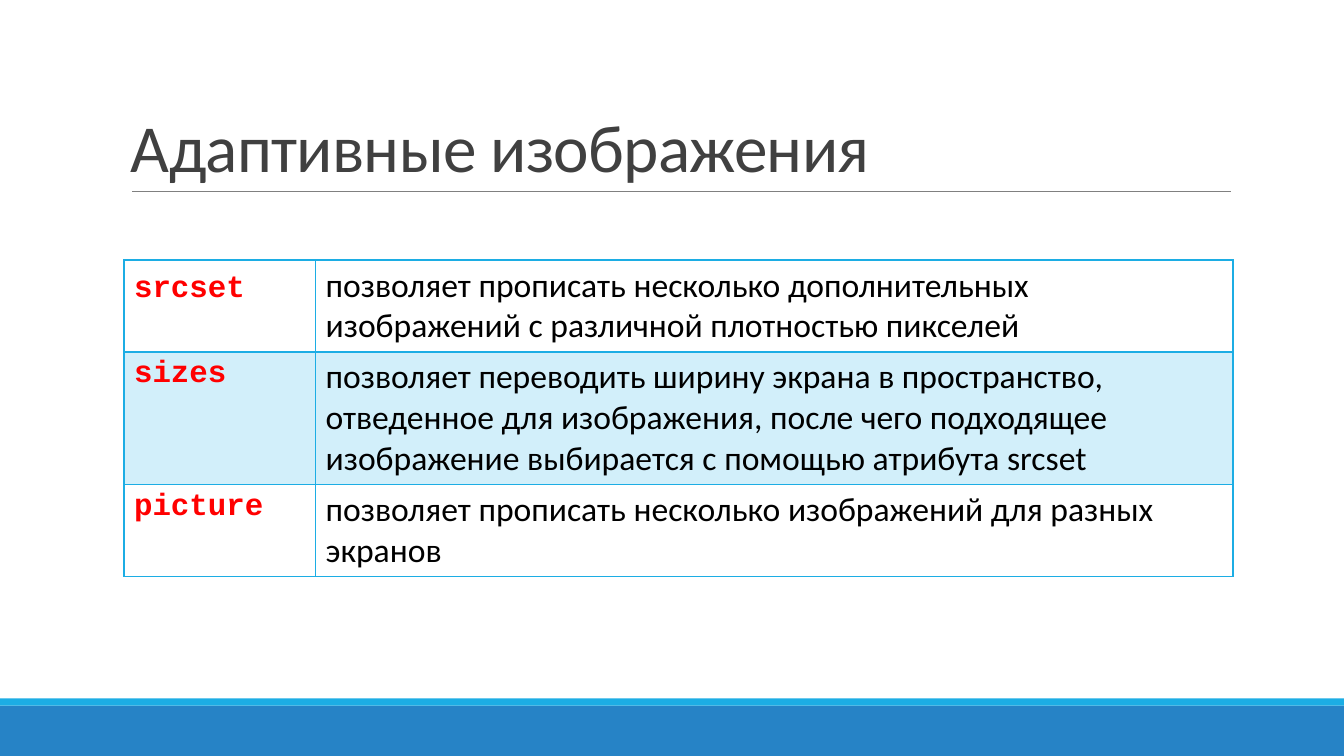
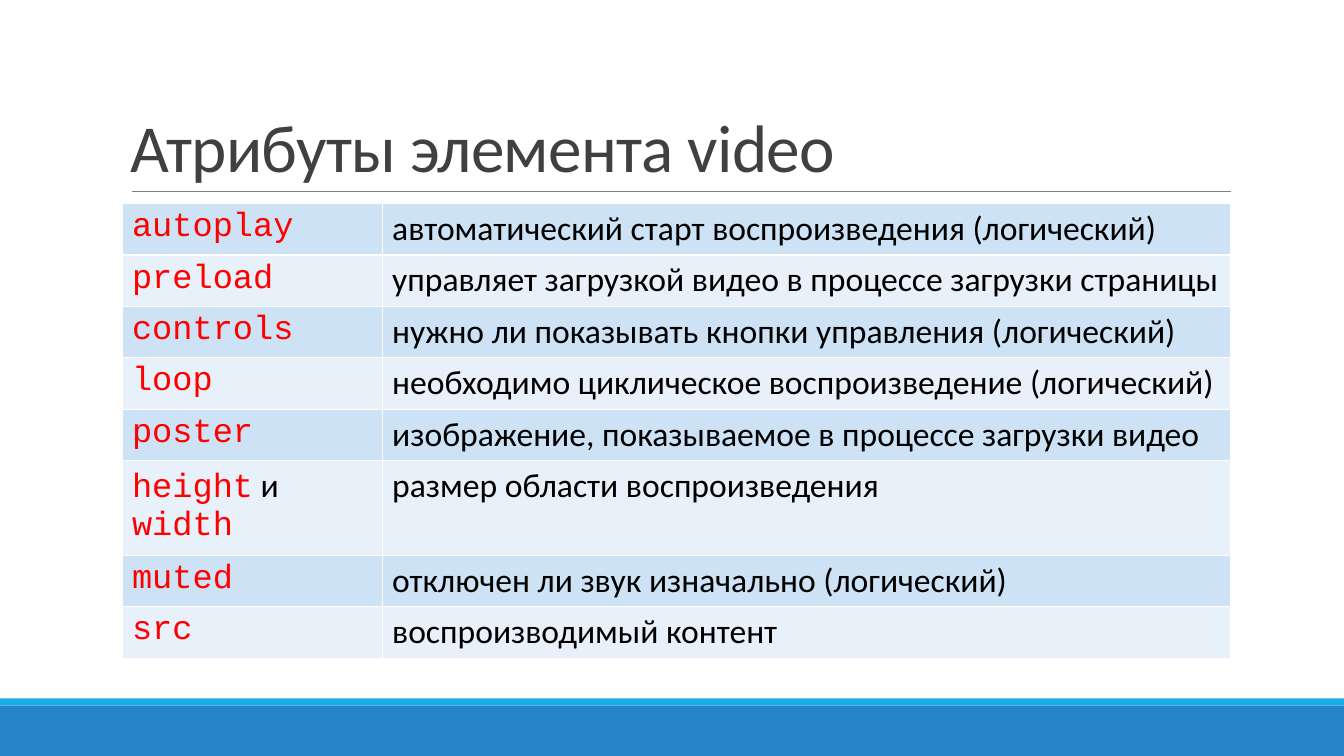
import pptx
import pptx.dml.color
import pptx.enum.shapes
import pptx.enum.text
import pptx.oxml
import pptx.oxml.ns
import pptx.util
from lxml import etree

Inches, Pt = pptx.util.Inches, pptx.util.Pt
qn = pptx.oxml.ns.qn


class Theme:
    sans, mono = "Calibri", "Courier New"
    blue, cyan, rule = "2683C6", "1CADE4", "808080"
    title, text, code = "404040", "000000", "FF0000"
    pale, dark, light, white = "D2EFFA", "CDE3F5", "E8F1FA", "FFFFFF"
    head, body, small = 48, 24, 22


# A name cell is a list of (text, is code) runs.
SLIDES = [
    dict(
        title="Адаптивные изображения",
        at=(1.23, 2.58), cols=(1.9, 9.1), rows=(0.91, 1.32, 0.91),
        fills=(None, Theme.pale), edge=Theme.cyan, thick=0,
        size=Theme.small, bold=True,
        cells=[
            ([("srcset", True), (" ", False)],
             "позволяет прописать несколько дополнительных изображений "
             "с различной плотностью пикселей"),
            ([("sizes", True)],
             "позволяет переводить ширину экрана в пространство, отведенное "
             "для изображения, после чего подходящее изображение выбирается "
             "с помощью атрибута srcset"),
            ([("picture", True)],
             "позволяет прописать несколько изображений для разных экранов"),
        ],
    ),
    dict(
        title="Атрибуты элемента video",
        at=(1.21, 2.02), cols=(2.58, 8.42), rows=(0.51,) * 5 + (0.94, 0.51, 0.51),
        fills=(Theme.dark, Theme.light), edge=Theme.white, thick=None,
        size=Theme.body, bold=False,
        cells=[
            ([("autoplay", True)],
             "автоматический старт воспроизведения (логический)"),
            ([("preload", True)],
             "управляет загрузкой видео в процессе загрузки страницы"),
            ([("controls", True)],
             "нужно ли показывать кнопки управления (логический)"),
            ([("loop", True)],
             "необходимо циклическое воспроизведение (логический)"),
            ([("poster", True)],
             "изображение, показываемое в процессе загрузки видео"),
            ([("height", True), (" и ", False), ("width", True)],
             "размер области воспроизведения"),
            ([("muted", True)], "отключен ли звук изначально (логический)"),
            ([("src", True)], "воспроизводимый контент"),
        ],
    ),
]


def rgb(code):
    return pptx.dml.color.RGBColor.from_string(code)


def style(run, font, size, color, bold=False):
    run.font.name, run.font.size, run.font.bold = font, Pt(size), bold
    run.font.color.rgb = rgb(color)


def add_band(slide, top, height, color):
    band = slide.shapes.add_shape(
        pptx.enum.shapes.MSO_SHAPE.RECTANGLE,
        0, Inches(top), Inches(13.33), Inches(height))
    band.shadow.inherit = False
    band.fill.solid()
    band.fill.fore_color.rgb = rgb(color)
    band.line.fill.background()


def add_frame(slide, title):
    """Add the bands, the title and its rule."""
    add_band(slide, 7, 0.5, Theme.blue)
    add_band(slide, 6.93, 0.07, Theme.cyan)
    rule = slide.shapes.add_connector(
        pptx.enum.shapes.MSO_CONNECTOR.STRAIGHT,
        Inches(1.31), Inches(1.9), Inches(12.21), Inches(1.9))
    rule.line.color.rgb = rgb(Theme.rule)
    rule.line.width = Pt(0.5)
    etree.SubElement(rule._element.spPr, qn("a:effectLst"))

    box = slide.shapes.add_textbox(
        Inches(1.2), Inches(0.31), Inches(11), Inches(1.59))
    frame = box.text_frame
    frame.word_wrap = True
    frame.vertical_anchor = pptx.enum.text.MSO_ANCHOR.BOTTOM
    frame.text = title
    para = frame.paragraphs[0]
    para.line_spacing = 0.85
    run = para.runs[0]
    style(run, Theme.sans, Theme.head, Theme.title)
    run._r.get_or_add_rPr().set("spc", "-50")


def set_edges(cell, color, top, bottom):
    props = cell._tc.get_or_add_tcPr()
    edges = (("L", 1), ("R", 1), ("T", top), ("B", bottom))
    for pos, (side, width) in enumerate(edges):
        line = etree.Element(qn("a:ln" + side), w=str(Pt(width)))
        fill = etree.SubElement(line, qn("a:solidFill"))
        etree.SubElement(fill, qn("a:srgbClr"), val=color)
        props.insert(pos, line)


def fill_cell(cell, color):
    if color:
        cell.fill.solid()
        cell.fill.fore_color.rgb = rgb(color)
    else:
        cell.fill.background()


def add_grid(slide, data):
    cols, rows = data["cols"], data["rows"]
    left, top = data["at"]
    table = slide.shapes.add_table(
        len(rows), len(cols), Inches(left), Inches(top),
        Inches(sum(cols)), Inches(sum(rows))).table
    table.first_row = table.horz_banding = False
    for col, width in zip(table.columns, cols):
        col.width = Inches(width)
    for row, height in zip(table.rows, rows):
        row.height = Inches(height)

    for i, (name, note) in enumerate(data["cells"]):
        above = 2 if i - 1 == data["thick"] else 1
        below = 2 if i == data["thick"] else 1
        for j, runs in enumerate((name, [(note, False)])):
            cell = table.cell(i, j)
            fill_cell(cell, data["fills"][i % 2])
            set_edges(cell, data["edge"], above, below)
            para = cell.text_frame.paragraphs[0]
            for text, code in runs:
                run = para.add_run()
                run.text = text
                if code:
                    style(run, Theme.mono, data["size"], Theme.code, data["bold"])
                else:
                    style(run, Theme.sans, Theme.body, Theme.text)


def main():
    deck = pptx.Presentation()
    deck.slide_width, deck.slide_height = Inches(13.33), Inches(7.5)
    for data in SLIDES:
        slide = deck.slides.add_slide(deck.slide_layouts[6])
        add_frame(slide, data["title"])
        add_grid(slide, data)
    deck.save("out.pptx")


if __name__ == "__main__":
    main()
